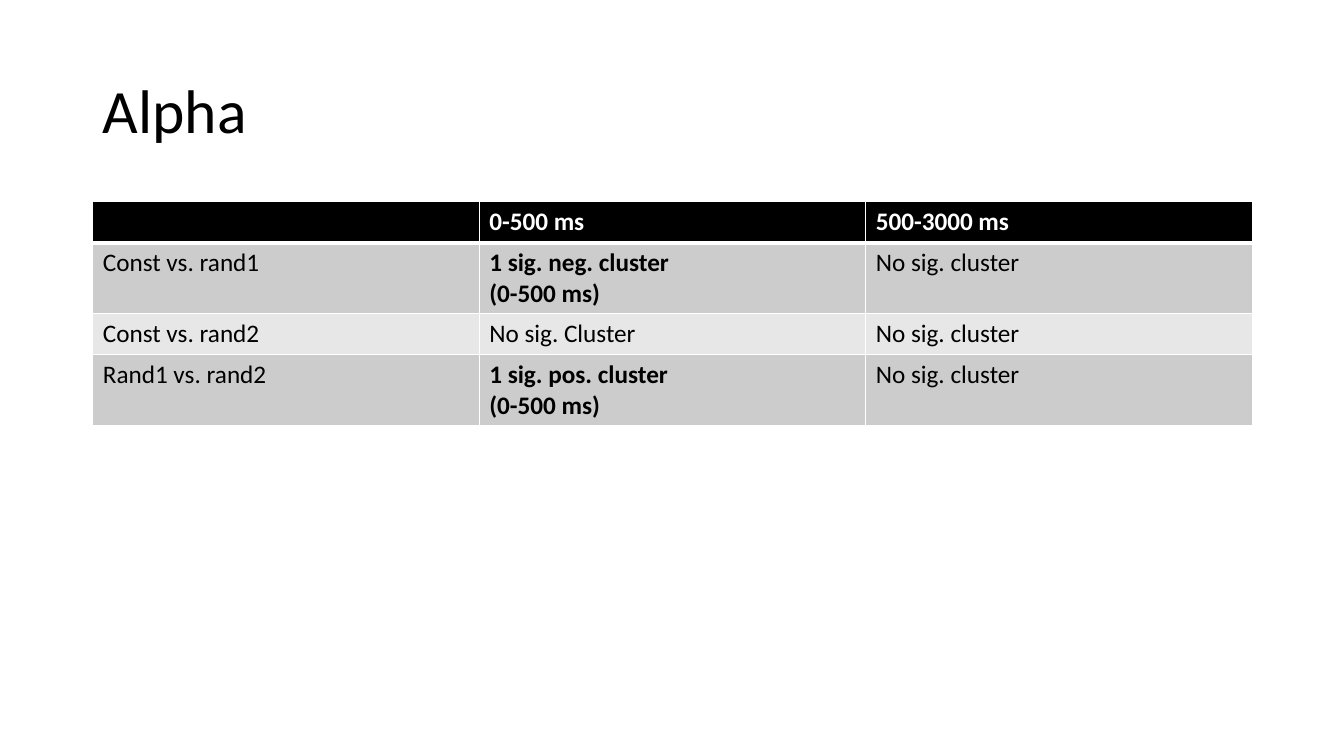
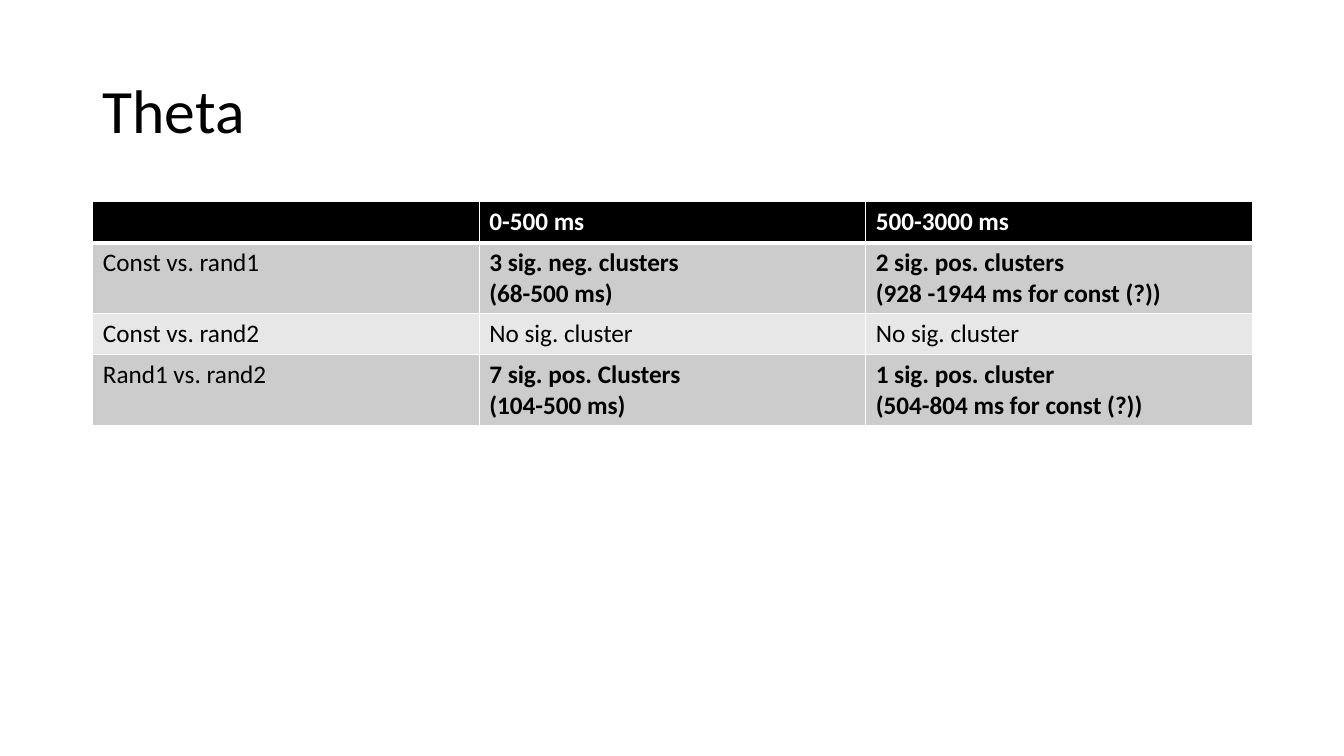
from lxml import etree
from pptx import Presentation
from pptx.dml.color import RGBColor
from pptx.enum.text import MSO_ANCHOR
from pptx.oxml.ns import qn
from pptx.util import Inches, Pt

MIDDLE = MSO_ANCHOR.MIDDLE
BLACK = RGBColor(0x00, 0x00, 0x00)
WHITE = RGBColor(0xFF, 0xFF, 0xFF)
DARK_BAND = RGBColor(0xCC, 0xCC, 0xCC)
LIGHT_BAND = RGBColor(0xE7, 0xE7, 0xE7)
FONT = "Calibri"

LEFT = Inches(0.92)
CONTENT_WIDTH = Inches(11.5)
TITLE_TOP, TITLE_HEIGHT = Inches(0.4), Inches(1.45)
TABLE_TOP = Inches(2)
ROW_HEIGHT, TALL_ROW_HEIGHT = Inches(0.41), Inches(0.7)
THIN, THICK = Pt(1), Pt(3)

HEADER = ("", "0-500 ms", "500-3000 ms")
COMPARISONS = ("Const vs. rand1", "Const vs. rand2", "Rand1 vs. rand2")
NO_CLUSTER = "No sig. cluster"
RESULTS = {
    "Alpha": (
        ("1 sig. neg. cluster\n(0-500 ms)", NO_CLUSTER),
        ("No sig. Cluster", NO_CLUSTER),
        ("1 sig. pos. cluster\n(0-500 ms)", NO_CLUSTER),
    ),
    "Theta": (
        ("3 sig. neg. clusters\n(68-500 ms)",
         "2 sig. pos. clusters\n(928 -1944 ms for const (?))"),
        (NO_CLUSTER, NO_CLUSTER),
        ("7 sig. pos. Clusters\n(104-500 ms)",
         "1 sig. pos. cluster\n(504-804 ms for const (?))"),
    ),
}


def format_font(font, color, **values):
    font.color.rgb = color
    for name, value in {"name": FONT, **values}.items():
        setattr(font, name, value)


def add_title(slide, text):
    box = slide.shapes.add_textbox(LEFT, TITLE_TOP, CONTENT_WIDTH, TITLE_HEIGHT)
    frame = box.text_frame
    frame.word_wrap = True
    frame.vertical_anchor = MIDDLE
    paragraph = frame.paragraphs[0]
    paragraph.text = text
    paragraph.line_spacing = 0.9
    format_font(paragraph.runs[0].font, BLACK, size=Pt(44))


def set_borders(cell, top, bottom):
    properties = cell._tc.get_or_add_tcPr()
    widths = {"a:lnL": THIN, "a:lnR": THIN, "a:lnT": top, "a:lnB": bottom}
    for tag, width in widths.items():
        line = etree.SubElement(properties, qn(tag), w=str(width))
        fill = etree.SubElement(line, qn("a:solidFill"))
        etree.SubElement(fill, qn("a:srgbClr"), val=str(WHITE))


def fill_cell(cell, text, row_index):
    is_header = row_index == 0
    set_borders(cell, THICK if row_index == 1 else THIN,
                THICK if is_header else THIN)
    band = DARK_BAND if row_index % 2 else LIGHT_BAND
    cell.fill.solid()
    cell.fill.fore_color.rgb = BLACK if is_header else band
    cell.text = text
    for paragraph in cell.text_frame.paragraphs:
        for run in paragraph.runs:
            format_font(run.font, WHITE if is_header else BLACK,
                        size=Pt(18), bold=is_header or "\n" in text)


def add_result_table(slide, results):
    rows = [HEADER]
    rows += [(name, *values) for name, values in zip(COMPARISONS, results)]
    heights = [TALL_ROW_HEIGHT if any("\n" in text for text in row) else ROW_HEIGHT
               for row in rows]
    table = slide.shapes.add_table(len(rows), len(HEADER), LEFT, TABLE_TOP,
                                   CONTENT_WIDTH, sum(heights)).table
    for row_index, row in enumerate(rows):
        table.rows[row_index].height = heights[row_index]
        for column_index, text in enumerate(row):
            fill_cell(table.cell(row_index, column_index), text, row_index)


def main():
    presentation = Presentation()
    presentation.slide_width = Inches(13.33)
    presentation.slide_height = Inches(7.5)
    blank_layout = presentation.slide_layouts[6]
    for title, results in RESULTS.items():
        slide = presentation.slides.add_slide(blank_layout)
        add_title(slide, title)
        add_result_table(slide, results)
    presentation.save("out.pptx")


main()
